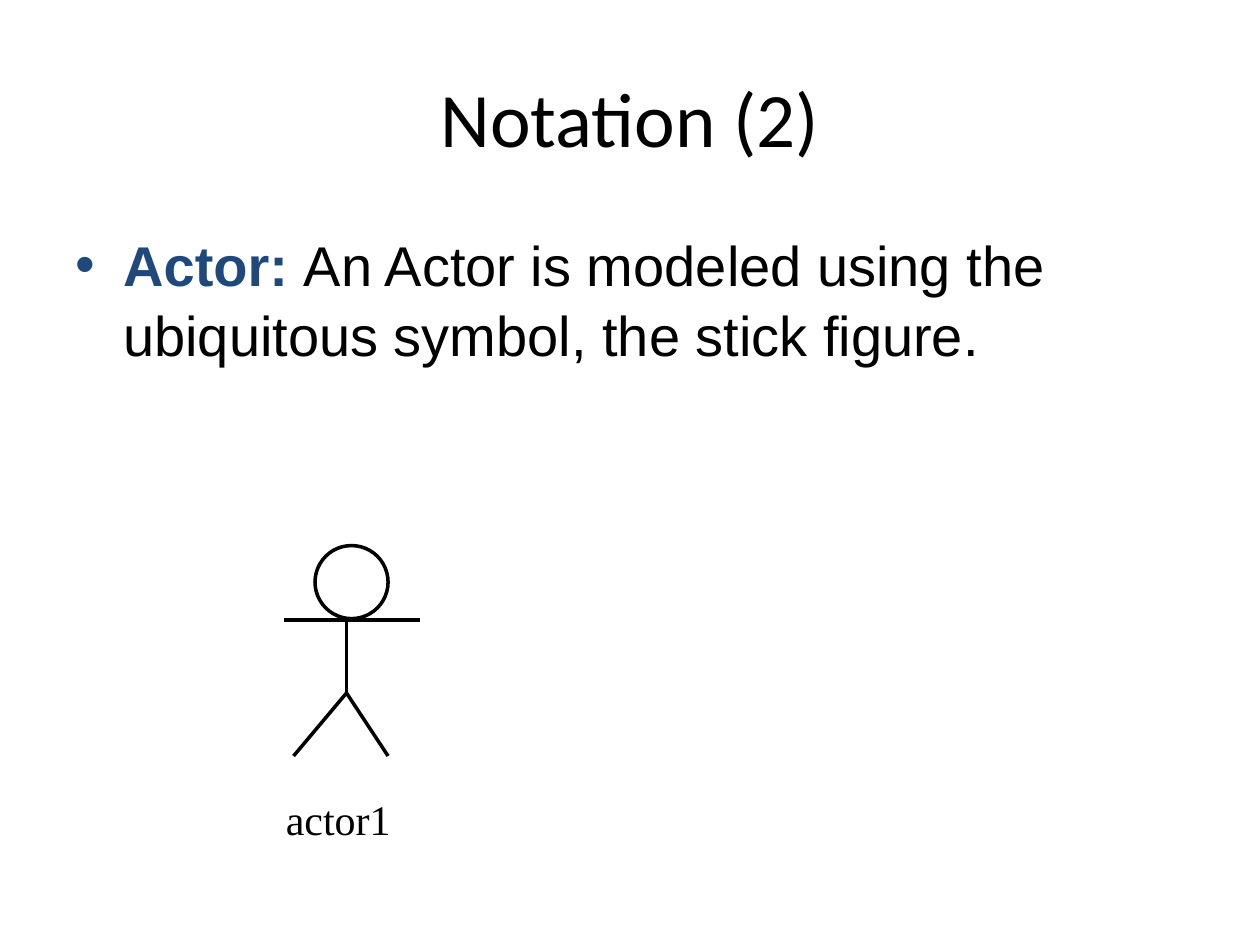
from lxml import etree
from pptx import Presentation
from pptx.dml.color import RGBColor
from pptx.enum.shapes import MSO_CONNECTOR as Connector, MSO_SHAPE as Shape
from pptx.enum.text import MSO_ANCHOR as Anchor, MSO_AUTO_SIZE as AutoSize, PP_ALIGN as Align
from pptx.oxml.ns import qn
from pptx.util import Inches, Pt

BLACK = RGBColor(0x00, 0x00, 0x00)
NAVY = RGBColor(0x1F, 0x49, 0x7D)
STROKE = Pt(2)


def set_all(target, **values):
    for name, value in values.items():
        setattr(target, name, value)


def add_text(slide, box, runs, frame_format=None, **paragraph_format):
    """Add a one-paragraph text box; runs are (text, font format) pairs."""
    frame = slide.shapes.add_textbox(*map(Inches, box)).text_frame
    set_all(frame, word_wrap=True, **(frame_format or {}))
    paragraph = frame.paragraphs[0]
    set_all(paragraph, **paragraph_format)
    for text, (font, size, color, bold) in runs:
        run = paragraph.add_run()
        run.text = text
        set_all(run.font, name=font, size=Pt(size), bold=bold)
        run.font.color.rgb = color
    return paragraph


def add_bullet(paragraph, color, indent):
    properties = paragraph._p.get_or_add_pPr()
    properties.set("marL", str(Inches(indent)))
    properties.set("indent", str(-Inches(indent)))
    bullet_color = etree.SubElement(properties, qn("a:buClr"))
    etree.SubElement(bullet_color, qn("a:srgbClr"), val=str(color))
    etree.SubElement(properties, qn("a:buFont"), typeface="Arial")
    etree.SubElement(properties, qn("a:buChar"), char="•")


def style_line(shape):
    shape.line.color.rgb = BLACK
    shape.line.width = STROKE


def add_limb(slide, start, end):
    limb = slide.shapes.add_connector(Connector.STRAIGHT, *map(Inches, start + end))
    style_line(limb)
    etree.SubElement(limb._element.spPr, qn("a:effectLst"))


def add_stick_figure(slide):
    # Head
    head = slide.shapes.add_shape(
        Shape.FLOWCHART_CONNECTOR, *map(Inches, (2.5, 4.33, 0.58, 0.58)))
    head.fill.background()
    head.shadow.inherit = False
    style_line(head)

    # Body, legs and arms
    neck, hip = (2.75, 4.92), (2.75, 5.5)
    add_limb(slide, neck, hip)
    for foot_x in (2.33, 3.08):
        add_limb(slide, hip, (foot_x, 6))
    add_limb(slide, (2.25, neck[1]), (3.33, neck[1]))


def main():
    deck = Presentation()
    set_all(deck, slide_width=Inches(10), slide_height=Inches(7.5))
    slide = deck.slides.add_slide(deck.slide_layouts[6])

    # Title
    add_text(slide, (0.5, 0.3, 9, 1.25),
             [("Notation (2)", ("Calibri", 44, BLACK, False))],
             {"vertical_anchor": Anchor.MIDDLE}, alignment=Align.CENTER)

    # Definition
    definition = add_text(
        slide, (0.5, 1.75, 9, 4.95),
        [("Actor: ", ("Arial", 32, NAVY, True)),
         ("An Actor is modeled using the ubiquitous symbol, the stick figure.",
          ("Arial", 32, BLACK, False))],
        space_before=Pt(8), line_spacing=1.05)
    add_bullet(definition, NAVY, 0.38)

    # Actor with its name
    add_stick_figure(slide)
    add_text(slide, (2.17, 6.25, 1.17, 0.5),
             [("actor1", ("Times New Roman", 24, BLACK, False))],
             {"auto_size": AutoSize.SHAPE_TO_FIT_TEXT}, space_before=Pt(15))

    deck.save("out.pptx")


if __name__ == "__main__":
    main()
